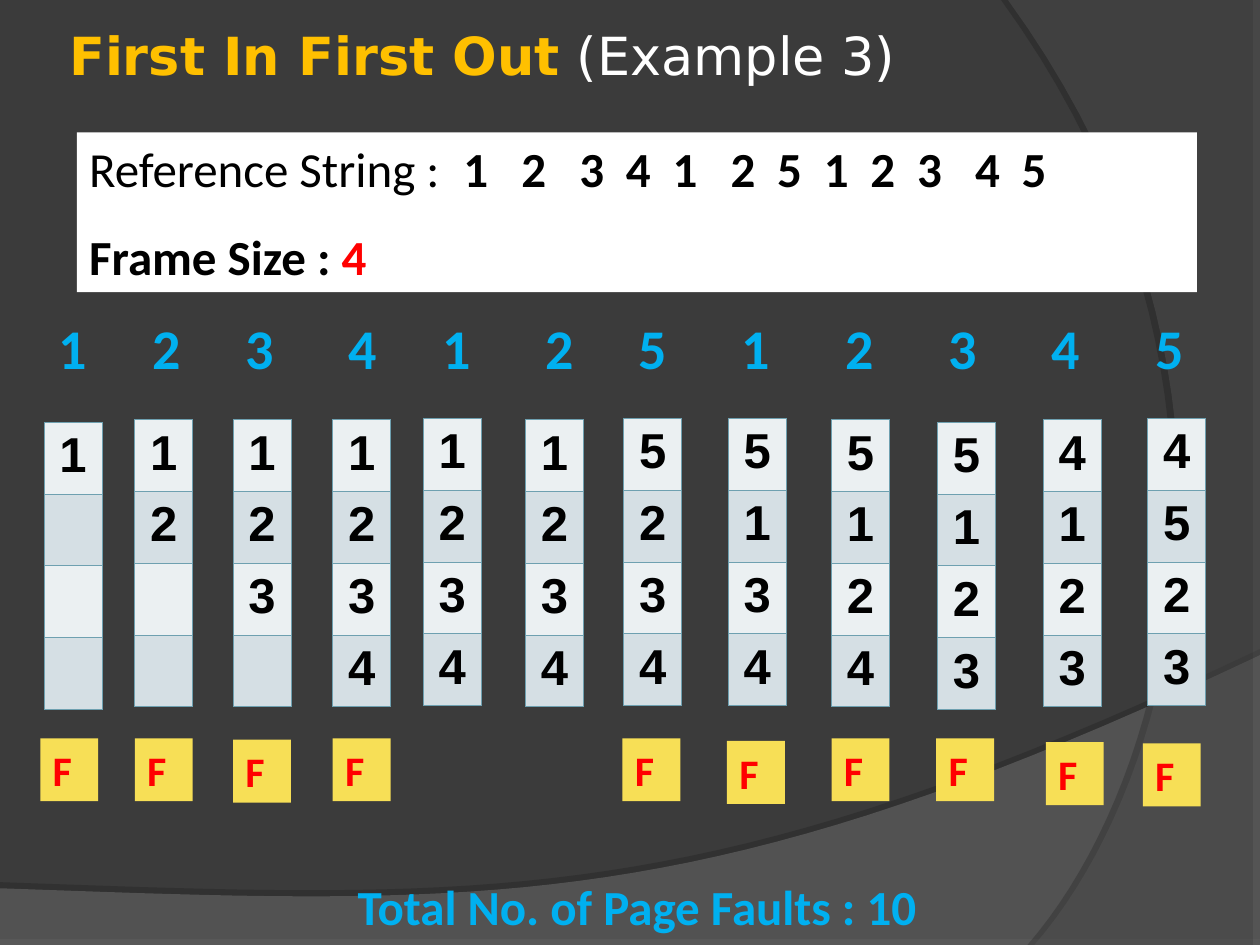
from itertools import accumulate
from lxml import etree
from pptx import Presentation
from pptx.dml.color import RGBColor
from pptx.enum.shapes import MSO_SHAPE
from pptx.enum.text import MSO_ANCHOR, PP_ALIGN
from pptx.oxml import parse_xml
from pptx.oxml.ns import nsdecls, qn
from pptx.util import Inches, Pt

RECT = MSO_SHAPE.RECTANGLE
TOP, MIDDLE = MSO_ANCHOR.TOP, MSO_ANCHOR.MIDDLE
LEFT, CENTER, JUSTIFY = PP_ALIGN.LEFT, PP_ALIGN.CENTER, PP_ALIGN.JUSTIFY

THEME = {
    "back": "3B3B3B", "wave": "7C7C7C", "side": "595959", "panel": "FFFFFF",
    "flag": "F7DF56", "bands": ("EBF0F2", "D5DFE4"), "border": "6EA0B0",
    "title": dict(name="DejaVu Sans", size=30, color="FFC000", bold=True),
    "subtitle": dict(name="DejaVu Sans", size=30, color="FFFFFF", bold=False),
    "label": dict(name="Calibri", size=28, color="000000", bold=False),
    "strong": dict(name="Calibri", size=28, color="000000", bold=True),
    "value": dict(name="Calibri", size=28, color="FF0000", bold=True),
    "header": dict(name="Calibri", size=32, color="00B0F0", bold=True),
    "total": dict(name="Calibri", size=28, color="00B0F0", bold=True),
    "fault": dict(name="Calibri", size=24, color="FF0000", bold=True),
    "page": dict(name="Arial", size=28, color="000000", bold=True),
}

prs = Presentation()
prs.slide_width, prs.slide_height = Inches(10), Inches(7.5)
U = prs.slide_width / 10  # grid unit: the slide is 10 columns by 7.5 rows
s = prs.slides.add_slide(prs.slide_layouts[6])
s.background.fill.solid()
s.background.fill.fore_color.rgb = RGBColor.from_string(THEME["back"])


def write(p, runs, align=LEFT, spacing=None, tabs=()):
    """Fill a paragraph with (text, style) runs; tabs are in grid units."""
    if tabs:
        tab_list = etree.SubElement(p._p.get_or_add_pPr(), qn("a:tabLst"))
        for t in tabs:
            etree.SubElement(tab_list, qn("a:tab"), pos=str(round(t * U)), algn="l")
    p.alignment = align
    if spacing:
        p.line_spacing = spacing
    for text, style in runs:
        r = p.add_run()
        r.text = text
        for key, value in THEME[style].items():
            if key == "color":
                r.font.color.rgb = RGBColor.from_string(value)
            else:
                setattr(r.font, key, Pt(value) if key == "size" else value)


def add_box(x, y, w, h, fill=None, anchor=TOP, inset=0.1):
    """Add a text box, or a filled rectangle, and return its text frame."""
    place = [round(v * U) for v in (x, y, w, h)]
    if fill:
        sp = s.shapes.add_shape(RECT, *place)
        sp.shadow.inherit = False
        sp.fill.solid()
        sp.fill.fore_color.rgb = RGBColor.from_string(fill)
        sp.line.fill.background()
    else:
        sp = s.shapes.add_textbox(*place)
    tf = sp.text_frame
    tf.word_wrap, tf.vertical_anchor = True, anchor
    tf.margin_left = tf.margin_right = round(inset * U)
    tf.margin_top = tf.margin_bottom = round(0.05 * U)
    return tf


# Background curves: straight corners, then one Bezier edge
STEPS = 40
curves = [
    ([(0, 7.05), (0, 7.5), (10, 7.5)], [(10, 5.2), (5.59, 7.29), (3.91, 7.19), (0, 7.05)],
     "wave", 45, (35, 3.5, 270)),
    ([(10, 0), (10, 7.5)], [(8.21, 7.5), (9.35, 6.19), (10.18, 3), (8, 0)],
     "side", 40, (45, 4, 180)),
]
for corners, bezier, color, alpha, (dark, dist, angle) in curves:
    points = list(corners)
    for i in range(STEPS + 1):
        t = i / STEPS
        weights = ((1 - t) ** 3, 3 * t * (1 - t) ** 2, 3 * t * t * (1 - t), t ** 3)
        points.append(tuple(sum(k * b[axis] for k, b in zip(weights, bezier))
                            for axis in (0, 1)))
    points = [(round(x * U), round(y * U)) for x, y in points]
    builder = s.shapes.build_freeform(*points[0])
    builder.add_line_segments(points[1:], close=True)
    sp = builder.convert_to_shape()
    sp.line.fill.background()
    sp.fill.solid()
    sp.fill.fore_color.rgb = RGBColor.from_string(THEME[color])
    clr = sp._element.spPr.find(qn("a:solidFill"))[0]
    etree.SubElement(clr, qn("a:alpha"), val=str(alpha * 1000))
    sp._element.spPr.append(parse_xml(
        f'<a:effectLst {nsdecls("a")}><a:outerShdw dist="{Pt(dist)}" dir="{angle * 60000}">'
        f'<a:srgbClr val="000000"><a:alpha val="{dark * 1000}"/></a:srgbClr>'
        '</a:outerShdw></a:effectLst>'))

# Title
tf = add_box(0.5, -0.19, 9, 1.25, anchor=MIDDLE, inset=0.05)
write(tf.paragraphs[0], [("First In First Out", "title"), (" (Example 3)", "subtitle")])

# Reference string and frame size
REFERENCES = [1, 2, 3, 4, 1, 2, 5, 1, 2, 3, 4, 5]
FRAMES = 4
tabbed = "\t".join(map(str, REFERENCES))
WIDE, NARROW = 0.46, 0.37
steps = [WIDE if i in (0, 1, 4, 9) else NARROW for i in range(11)]
tf = add_box(0.61, 1.05, 8.89, 1.27, THEME["panel"])
write(tf.paragraphs[0], [("Reference String :\t", "label"), (tabbed, "strong")],
      tabs=accumulate([2.97] + steps))
write(tf.add_paragraph(), [("Frame Size : ", "strong"), (str(FRAMES), "value")],
      JUSTIFY, 1.5)

# Page requested at each step
WIDE, NARROW = 0.82, 0.74
steps = [NARROW if i in (0, 1, 3, 5) else WIDE for i in range(11)]
tf = add_box(0.37, 2.44, 9.63, 0.64)
write(tf.paragraphs[0], [(tabbed, "header")], tabs=accumulate(steps))

# Frame tables and fault flags, worked out by first in, first out
CELL_W, CELL_H = 0.46, 0.57
columns = [  # table left, table top, flag left, flag top
    (0.35, 3.35, 0.32, 5.86), (1.07, 3.33, 1.07, 5.86), (1.85, 3.33, 1.85, 5.87),
    (2.64, 3.33, 2.64, 5.86), (3.36, 3.32, 3.36, 5.86), (4.17, 3.33, 4.17, 5.86),
    (4.95, 3.32, 4.94, 5.86), (5.78, 3.32, 5.77, 5.88), (6.6, 3.33, 6.6, 5.86),
    (7.44, 3.35, 7.43, 5.86), (8.28, 3.33, 8.3, 5.89), (9.11, 3.32, 9.07, 5.9),
]
frames = [None] * FRAMES
faults = 0
for page, (x, y, flag_x, flag_y) in zip(REFERENCES, columns):
    if page not in frames:
        frames[faults % FRAMES] = page
        faults += 1
        tf = add_box(flag_x, flag_y, CELL_W, 0.5, THEME["flag"])
        write(tf.paragraphs[0], [("F", "fault")])

    place = [round(v * U) for v in (x, y, CELL_W, CELL_H * FRAMES)]
    table = s.shapes.add_table(FRAMES, 1, *place).table
    table.first_row = table.horz_banding = False
    for row, held in enumerate(frames):
        cell = table.cell(row, 0)
        cell.fill.solid()
        cell.fill.fore_color.rgb = RGBColor.from_string(THEME["bands"][row % 2])
        for i, side in enumerate(("lnL", "lnR", "lnT", "lnB")):
            cell._tc.tcPr.insert(i, parse_xml(
                f'<a:{side} {nsdecls("a")} w="{Pt(0.45)}"><a:solidFill>'
                f'<a:srgbClr val="{THEME["border"]}"/></a:solidFill></a:{side}>'))
        if held:
            write(cell.text_frame.paragraphs[0], [(str(held), "page")], CENTER)

# Total
tf = add_box(2.74, 6.67, 5, 0.8)
write(tf.paragraphs[0], [(f"Total No. of Page Faults : {faults}", "total")], JUSTIFY, 1.5)

prs.save("out.pptx")
